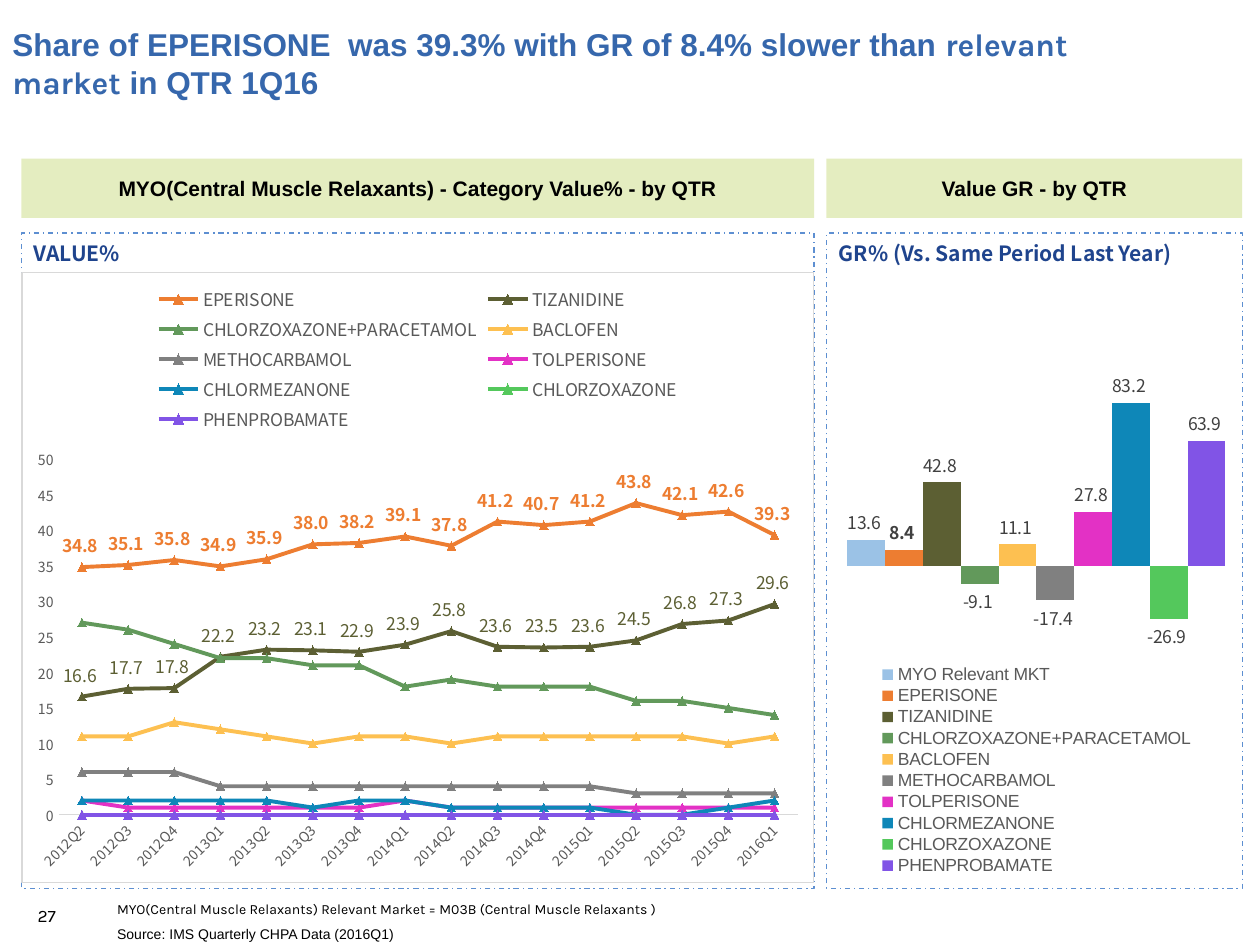
from dataclasses import dataclass
from typing import Any

from lxml.etree import SubElement
from pptx import Presentation
from pptx.chart.data import CategoryChartData
from pptx.dml.color import RGBColor
from pptx.enum.chart import (XL_CHART_TYPE, XL_LABEL_POSITION, XL_LEGEND_POSITION,
                             XL_MARKER_STYLE, XL_TICK_MARK)
from pptx.enum.dml import MSO_LINE
from pptx.enum.shapes import MSO_SHAPE
from pptx.enum.text import MSO_ANCHOR, PP_ALIGN
from pptx.oxml import parse_xml
from pptx.oxml.ns import nsdecls, qn
from pptx.util import Pt

SANS = "Noto Sans CJK SC"
HEAD = "3667AC"
GREY = "595959"
RULE = "D9D9D9"
LEFT, RIGHT = (12.25, 453), (472.3, 237.6)
TOP, CHART = 155.5, 349.2

COLORS = {
    "MYO Relevant MKT": "9BC2E6", "EPERISONE": "ED7D31", "TIZANIDINE": "5C5F33",
    "CHLORZOXAZONE+PARACETAMOL": "62995B", "BACLOFEN": "FDC051",
    "METHOCARBAMOL": "808080", "TOLPERISONE": "E331C5", "CHLORMEZANONE": "0E87B8",
    "CHLORZOXAZONE": "54C85C", "PHENPROBAMATE": "8154E6",
}
GROWTH = [13.6, 8.4, 42.8, -9.1, 11.1, -17.4, 27.8, 83.2, -26.9, 63.9]
SHARES = [
    [34.8, 35.1, 35.8, 34.9, 35.9, 38, 38.2, 39.1, 37.8, 41.2, 40.7, 41.2, 43.8, 42.1, 42.6, 39.3],
    [16.6, 17.7, 17.8, 22.2, 23.2, 23.1, 22.9, 23.9, 25.8, 23.6, 23.5, 23.6, 24.5, 26.8, 27.3, 29.6],
    [27, 26, 24, 22, 22, 21, 21, 18, 19, 18, 18, 18, 16, 16, 15, 14],
    [11, 11, 13, 12, 11, 10, 11, 11, 10, 11, 11, 11, 11, 11, 10, 11],
    [6, 6, 6, 4, 4, 4, 4, 4, 4, 4, 4, 4, 3, 3, 3, 3],
    [2, 1, 1, 1, 1, 1, 1, 2, 1, 1, 1, 1, 1, 1, 1, 1],
    [2, 2, 2, 2, 2, 1, 2, 2, 1, 1, 1, 1, 0, 0, 1, 2],
    [0] * 16,
    [0] * 16,
]
QUARTERS = [f"{n // 4}Q{n % 4 + 1}" for n in range(2012 * 4 + 1, 2016 * 4 + 1)]


def color(code):
    return RGBColor.from_string(code)


def style(font, size=10, ink="000000", face=SANS, bold=False):
    font.size, font.name, font.bold = Pt(size), face, bold
    font.color.rgb = color(ink)


def write(frame, text, align=PP_ALIGN.LEFT, anchor=MSO_ANCHOR.TOP, wrap=True, **form):
    frame.word_wrap, frame.vertical_anchor = wrap, anchor
    para = frame.paragraphs[0]
    para.alignment = align
    for part, face in [(text, form.pop("face", SANS))] if isinstance(text, str) else text:
        run = para.add_run()
        run.text = part
        style(run.font, face=face, **form)


def place(node, index, x, y, w, h, inner=False):
    for old in node.findall(qn("c:layout")):
        node.remove(old)
    target = '<c:layoutTarget val="inner"/>' if inner else ""
    node.insert(index, parse_xml(
        f'<c:layout {nsdecls("c")}><c:manualLayout>{target}'
        '<c:xMode val="edge"/><c:yMode val="edge"/>'
        f'<c:x val="{x}"/><c:y val="{y}"/><c:w val="{w}"/><c:h val="{h}"/>'
        '</c:manualLayout></c:layout>'))


@dataclass
class Deck:
    """Draws styled elements on the current slide."""
    slide: Any
    edge: str = "5D8FD1"
    band: str = "BDD262"
    title: str = "1F448D"

    def text(self, x, y, w, h, text, **form):
        box = self.slide.shapes.add_textbox(Pt(x), Pt(y), Pt(w), Pt(h))
        write(box.text_frame, text, **form)

    def rect(self, x, y, w, h):
        box = self.slide.shapes.add_shape(MSO_SHAPE.RECTANGLE, Pt(x), Pt(y), Pt(w), Pt(h))
        box.shadow.inherit = False
        return box

    def banner(self, x, w, text):
        box = self.rect(x, 90.7, w, 33.9)
        box.fill.solid()
        box.fill.fore_color.rgb = color(self.band)
        tint = box.fill._xPr.find(f'{qn("a:solidFill")}/{qn("a:srgbClr")}')
        SubElement(tint, qn("a:alpha"), val="40000")
        box.line.fill.background()
        write(box.text_frame, text, align=PP_ALIGN.CENTER, anchor=MSO_ANCHOR.MIDDLE,
              wrap=False, size=12, face="Arial", bold=True)

    def panel(self, x, w, text):
        box = self.rect(x, 133.2, w, 374.4)
        box.fill.background()
        box.line.color.rgb = color(self.edge)
        box.line.width = Pt(0.75)
        box.line.dash_style = MSO_LINE.DASH_DOT
        self.text(x, 133.9, w, 21.6, text, size=12, ink=self.title, bold=True)

    def chart(self, kind, x, w, cats, rows, spot, face=SANS):
        data = CategoryChartData()
        data.categories = cats
        for name, vals in rows:
            data.add_series(name, vals)
        chart = self.slide.shapes.add_chart(kind, Pt(x), Pt(TOP), Pt(w), Pt(CHART), data).chart
        style(chart.font)
        chart.has_title = False
        chart.has_legend = True
        chart.legend.position = spot
        chart.legend.include_in_layout = False
        style(chart.legend.font, ink=GREY, face=face)
        chart.value_axis.has_major_gridlines = False
        chart.plots[0].vary_by_categories = False
        return chart

    def label(self, row, spot, **form):
        tags = row.data_labels
        tags.show_value = True
        tags.position = spot
        tags.number_format, tags.number_format_is_linked = "#,##0.0_ ", False
        style(tags.font, **form)

    def lines(self, x, w):
        names = list(COLORS)[1:]
        chart = self.chart(XL_CHART_TYPE.LINE_MARKERS, x, w, QUARTERS,
                           zip(names, SHARES), XL_LEGEND_POSITION.TOP)
        for row in chart.plots[0].series:
            ink = color(COLORS[row.name])
            row.smooth = False
            row.format.line.color.rgb = ink
            row.format.line.width = Pt(2.25)
            row.marker.style, row.marker.size = XL_MARKER_STYLE.TRIANGLE, 5
            for fill in (row.marker.format.fill, row.marker.format.line.fill):
                fill.solid()
                fill.fore_color.rgb = ink
            if row.name in names[:2]:
                self.label(row, XL_LABEL_POSITION.ABOVE, ink=COLORS[row.name],
                           bold=row.name == names[0])
        base, scale = chart.category_axis, chart.value_axis
        for axis in (base, scale):
            axis.major_tick_mark = axis.minor_tick_mark = XL_TICK_MARK.NONE
            style(axis.tick_labels.font, size=8, ink=GREY)
        base.format.line.color.rgb = color(RULE)
        base.format.line.width = Pt(0.75)
        base._element.find(f'{qn("c:txPr")}/{qn("a:bodyPr")}').set("rot", "-2700000")
        scale.minimum_scale, scale.maximum_scale, scale.major_unit = 0, 50, 5
        scale.tick_labels.number_format = "#,##0"
        scale.tick_labels.number_format_is_linked = False
        scale.format.line.fill.background()
        chart._chartSpace.find(qn("c:txPr")).addprevious(parse_xml(
            f'<c:spPr {nsdecls("c", "a")}><a:noFill/><a:ln w="9525"><a:solidFill>'
            f'<a:srgbClr val="{RULE}"/></a:solidFill></a:ln></c:spPr>'))

    def bars(self, x, w):
        chart = self.chart(XL_CHART_TYPE.COLUMN_CLUSTERED, x, w, ["1"],
                           [(name, [val]) for name, val in zip(COLORS, GROWTH)],
                           XL_LEGEND_POSITION.BOTTOM, "Arial")
        chart.plots[0].gap_width, chart.plots[0].overlap = 1, 0
        chart.category_axis.visible = chart.value_axis.visible = False
        chart.value_axis.minimum_scale, chart.value_axis.maximum_scale = -40, 100
        for row in chart.plots[0].series:
            row.invert_if_negative = False
            row.format.fill.solid()
            row.format.fill.fore_color.rgb = color(COLORS[row.name])
            self.label(row, XL_LABEL_POSITION.OUTSIDE_END, ink="404040",
                       bold=row.name == "EPERISONE")
        place(chart._chartSpace.chart.plotArea, 0, 0.05, 0.16, 0.91, 0.45, inner=True)
        place(chart.legend._element, 1, 0.12, 0.64, 0.77, 0.35)


def main():
    show = Presentation()
    show.slide_width, show.slide_height = Pt(720), Pt(540)
    deck = Deck(show.slides.add_slide(show.slide_layouts[6]))
    mid = MSO_ANCHOR.MIDDLE
    deck.text(0, 0, 641.5, 72, [
        ("Share of EPERISONE  was 39.3% with GR of 8.4% slower than ", "Arial"),
        ("relevant market", "Karla"), (" in QTR 1Q16", "Arial"),
    ], anchor=mid, size=18, ink=HEAD, bold=True)
    deck.banner(*LEFT, "MYO(Central Muscle Relaxants) - Category Value% - by QTR")
    deck.banner(*RIGHT, "Value GR - by QTR")
    deck.panel(*LEFT, "VALUE%")
    deck.panel(*RIGHT, "GR% (Vs. Same Period Last Year)")
    deck.bars(*RIGHT)
    deck.lines(*LEFT)
    deck.text(14.4, 513.4, 45.4, 19.4, "27", anchor=mid, face="Karla")
    deck.text(59.8, 512.6, 599, 13,
              "MYO(Central Muscle Relaxants) Relevant Market = M03B (Central Muscle Relaxants )",
              anchor=mid, size=8, face="Karla")
    deck.text(59.8, 525.6, 599, 17.3, "Source: IMS Quarterly CHPA Data (2016Q1)",
              size=8, face="Arial")
    show.save("out.pptx")


if __name__ == "__main__":
    main()
